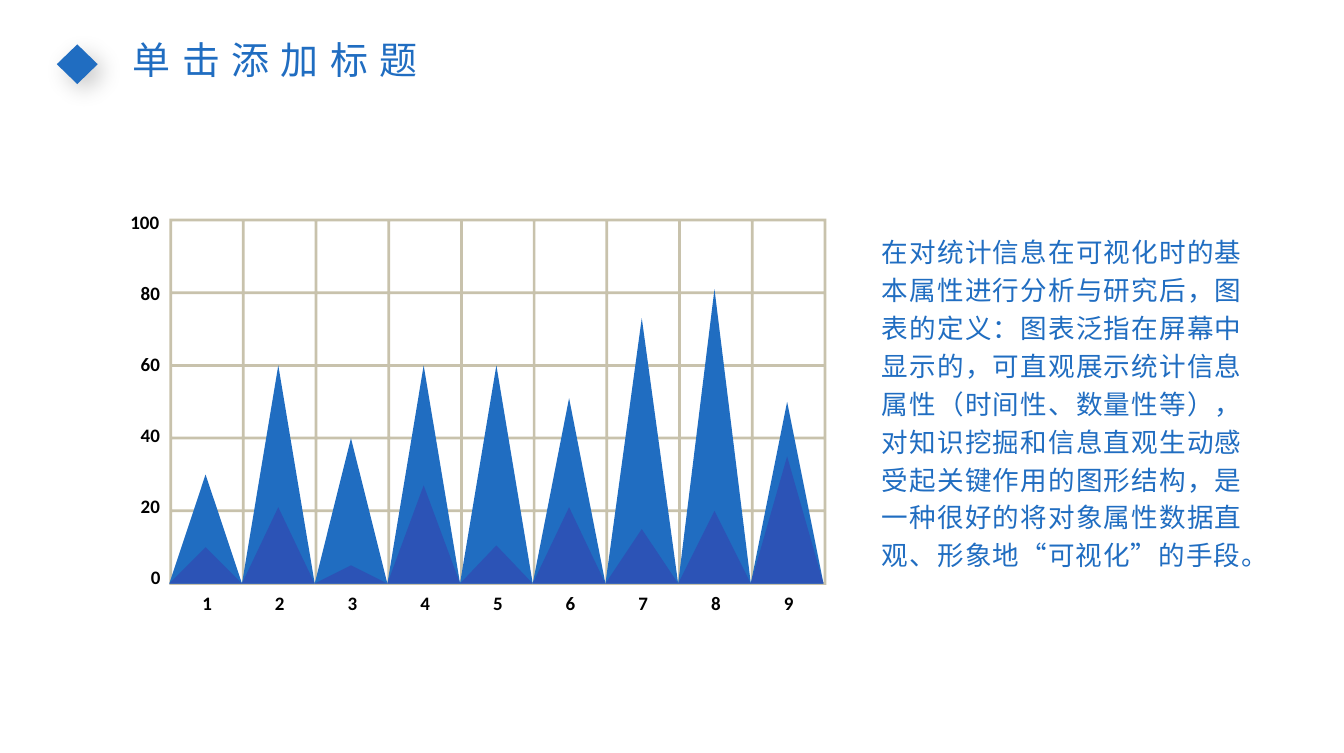
"""Build a slide with a triangle-peak chart, a heading and a paragraph."""
from dataclasses import dataclass

import lxml.etree
import pptx
import pptx.dml.color
import pptx.enum.shapes
import pptx.enum.text
import pptx.oxml.ns
import pptx.util

COLORS = {"grid": "C8C2AC", "main": "206DC1", "deep": "2C53B6", "label": "000000"}
ALIGN = pptx.enum.text.PP_ALIGN
CJK = "Noto Sans CJK SC"
SLIDE_W, SLIDE_H = pptx.util.Inches(9.84), pptx.util.Inches(5.51)
COLS, ROWS, STEP = 9, 5, 20
LINE = pptx.util.Inches(0.02)
LABEL_H = pptx.util.Inches(0.27)
BODY = (
    "在对统计信息在可视化时的基本属性进行分析与研究后，图表的定义：图表泛指在屏幕中"
    "显示的，可直观展示统计信息属性（时间性、数量性等），对知识挖掘和信息直观生动感"
    "受起关键作用的图形结构，是一种很好的将对象属性数据直观、形象地“可视化”的手段。"
)


@dataclass(frozen=True)
class Box:
    """A rectangle in EMU."""
    x: int
    y: int
    w: int
    h: int

    def corners(self) -> list[tuple[int, int]]:
        """Return the corners clockwise from the top left."""
        right, bottom = self.x + self.w, self.y + self.h
        return [(self.x, self.y), (right, self.y), (right, bottom), (self.x, bottom)]


@dataclass(frozen=True)
class Style:
    """The look of one paragraph."""
    size: float
    color: str
    font: str
    align: ALIGN
    bold: bool = False
    wrap: bool = True
    leading: float | None = None
    tracking: float = 0


@dataclass(frozen=True)
class Series:
    """A row of peaks in one colour."""
    color: str
    values: tuple[float, ...]


def percent_box(x: float, y: float, w: float, h: float) -> Box:
    """Turn percentages of the slide's size into a box."""
    return Box(round(SLIDE_W * x / 100), round(SLIDE_H * y / 100),
               round(SLIDE_W * w / 100), round(SLIDE_H * h / 100))


LABEL = Style(10, "label", "Calibri", ALIGN.CENTER, bold=True, wrap=False)
TITLE = Style(20, "main", CJK, ALIGN.CENTER, tracking=6)
PROSE = Style(14, "main", CJK, ALIGN.JUSTIFY, leading=20)
PLOT = percent_box(12.6, 29.04, 48.88, 48.64)
COL, ROW = (PLOT.w - LINE) / COLS, (PLOT.h - LINE) / ROWS
SERIES = (
    Series("main", (30, 60, 40, 60, 60, 51, 73, 81, 50)),
    Series("deep", (10, 21, 5, 27, 10.5, 21, 15, 20, 35)),
)


def paint(sp, color: str) -> None:
    """Give a shape a flat fill with no line or shadow."""
    sp.fill.solid()
    sp.fill.fore_color.rgb = pptx.dml.color.RGBColor.from_string(COLORS[color])
    sp.line.fill.background()
    sp.shadow.inherit = False


def add_outline(slide, contours: list[list[tuple[int, int]]], color: str) -> None:
    """Draw closed contours as one filled freeform."""
    first, *holes = contours
    builder = slide.shapes.build_freeform(*first[0])
    builder.add_line_segments(first[1:], close=True)
    for hole in holes:
        builder.move_to(*hole[0])
        builder.add_line_segments(hole[1:], close=True)
    paint(builder.convert_to_shape(), color)


def add_text(slide, text: str, box: Box, style: Style) -> None:
    """Add a one-paragraph text box."""
    tf = slide.shapes.add_textbox(box.x, box.y, box.w, box.h).text_frame
    tf.word_wrap = style.wrap
    tf.auto_size = pptx.enum.text.MSO_AUTO_SIZE.SHAPE_TO_FIT_TEXT
    p = tf.paragraphs[0]
    r = p.add_run()
    r.text = text
    p.alignment = style.align
    if style.leading:
        p.line_spacing = pptx.util.Pt(style.leading)
    p.font.size = pptx.util.Pt(style.size)
    p.font.bold = style.bold
    p.font.name = style.font
    p.font.color.rgb = pptx.dml.color.RGBColor.from_string(COLORS[style.color])
    if style.font == CJK:
        rpr = r.font._element
        if style.tracking:
            rpr.set("spc", str(round(style.tracking * 100)))
        lxml.etree.SubElement(rpr, pptx.oxml.ns.qn("a:ea"), typeface=CJK)


def add_grid(slide) -> None:
    """Draw the grid as a plate with one hole per cell."""
    holes = [
        Box(round(PLOT.x + LINE + c * COL), round(PLOT.y + LINE + r * ROW),
            round(COL - LINE), round(ROW - LINE)).corners()[::-1]
        for r in range(ROWS) for c in range(COLS)
    ]
    add_outline(slide, [PLOT.corners(), *holes], "grid")


def add_peaks(slide, series: Series) -> None:
    """Draw one triangle per value."""
    base = PLOT.y + PLOT.h - LINE // 2
    for i, value in enumerate(series.values):
        left = PLOT.x + i * COL
        peak = [(round(left), base),
                (round(left + COL / 2), round(base - value / STEP * ROW)),
                (round(left + COL), base)]
        add_outline(slide, [peak], series.color)


def add_labels(slide) -> None:
    """Write the scale at the left and the numbers below."""
    right = PLOT.x + pptx.util.Inches(0.05)
    lowest = PLOT.y + PLOT.h - pptx.util.Inches(0.19)
    pitch = pptx.util.Inches(0.52)
    for i in range(ROWS + 1):
        text = str(i * STEP)
        w = pptx.util.Inches(0.22 + 0.08 * len(text))
        add_text(slide, text, Box(right - w, lowest - i * pitch, w, LABEL_H), LABEL)
    w = pptx.util.Inches(0.28)
    for i in range(COLS):
        x = round(PLOT.x + (i + 0.5) * COL + LINE / 2 - w / 2)
        add_text(slide, str(i + 1), Box(x, PLOT.y + PLOT.h, w, LABEL_H), LABEL)


def add_diamond(slide, box: Box) -> None:
    """Draw the heading's diamond with a soft shadow."""
    qn, sub = pptx.oxml.ns.qn, lxml.etree.SubElement
    sp = slide.shapes.add_shape(
        pptx.enum.shapes.MSO_SHAPE.DIAMOND, box.x, box.y, box.w, box.h)
    sp.rotation = 90
    paint(sp, "main")
    effects = sp._element.spPr.find(qn("a:effectLst"))
    shadow = sub(effects, qn("a:outerShdw"), blurRad=str(pptx.util.Pt(12)),
                 dist=str(pptx.util.Pt(5)), dir="2700000", algn="tl", rotWithShape="0")
    tint = sub(shadow, qn("a:srgbClr"), val=COLORS["label"])
    sub(tint, qn("a:alpha"), val="21000")


def main() -> None:
    """Build and save the slide."""
    prs = pptx.Presentation()
    prs.slide_width, prs.slide_height = SLIDE_W, SLIDE_H
    slide = prs.slides.add_slide(prs.slide_layouts[6])
    add_grid(slide)
    for series in SERIES:
        add_peaks(slide, series)
    add_labels(slide)
    add_text(slide, BODY, percent_box(64.63, 29.58, 28.76, 47.19), PROSE)
    add_diamond(slide, percent_box(4.27, 5.81, 2.95, 5.44))
    add_text(slide, "单击添加标题", percent_box(1.52, 3.99, 37.91, 7.99), TITLE)
    prs.save("out.pptx")


if __name__ == "__main__":
    main()
